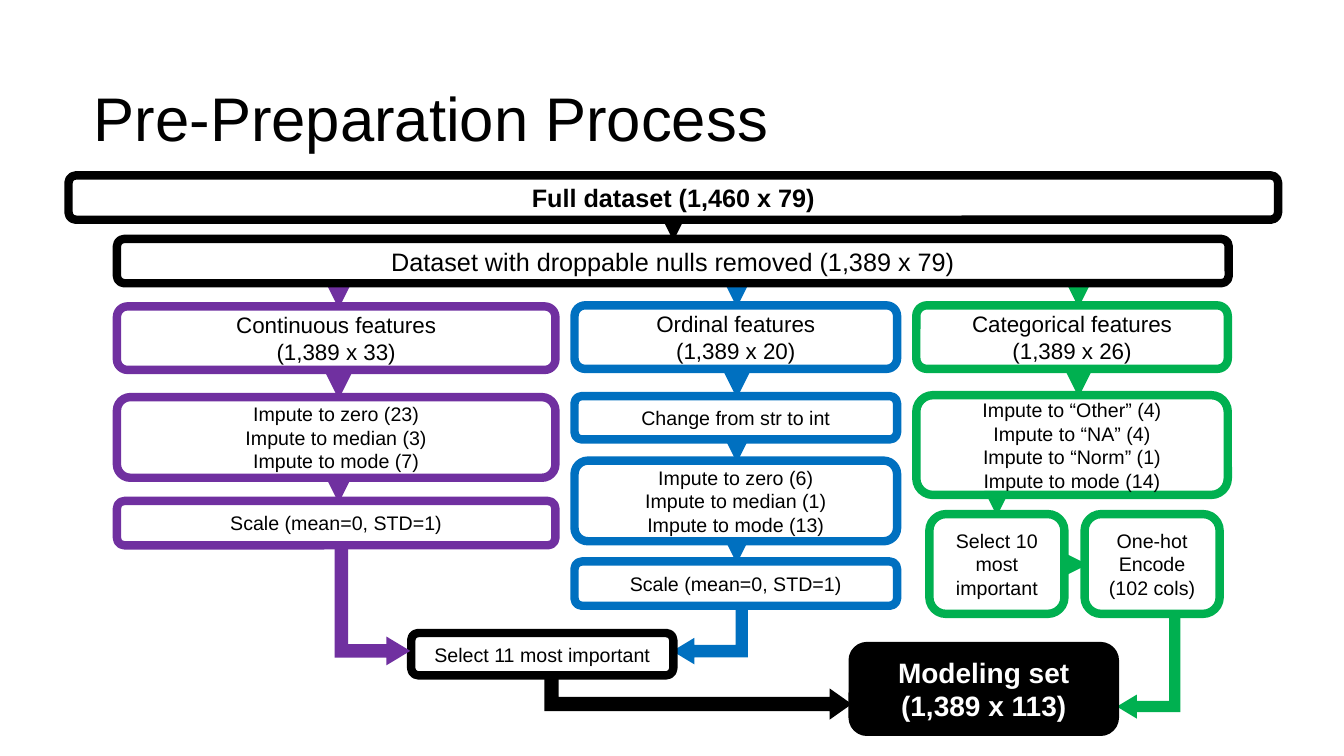
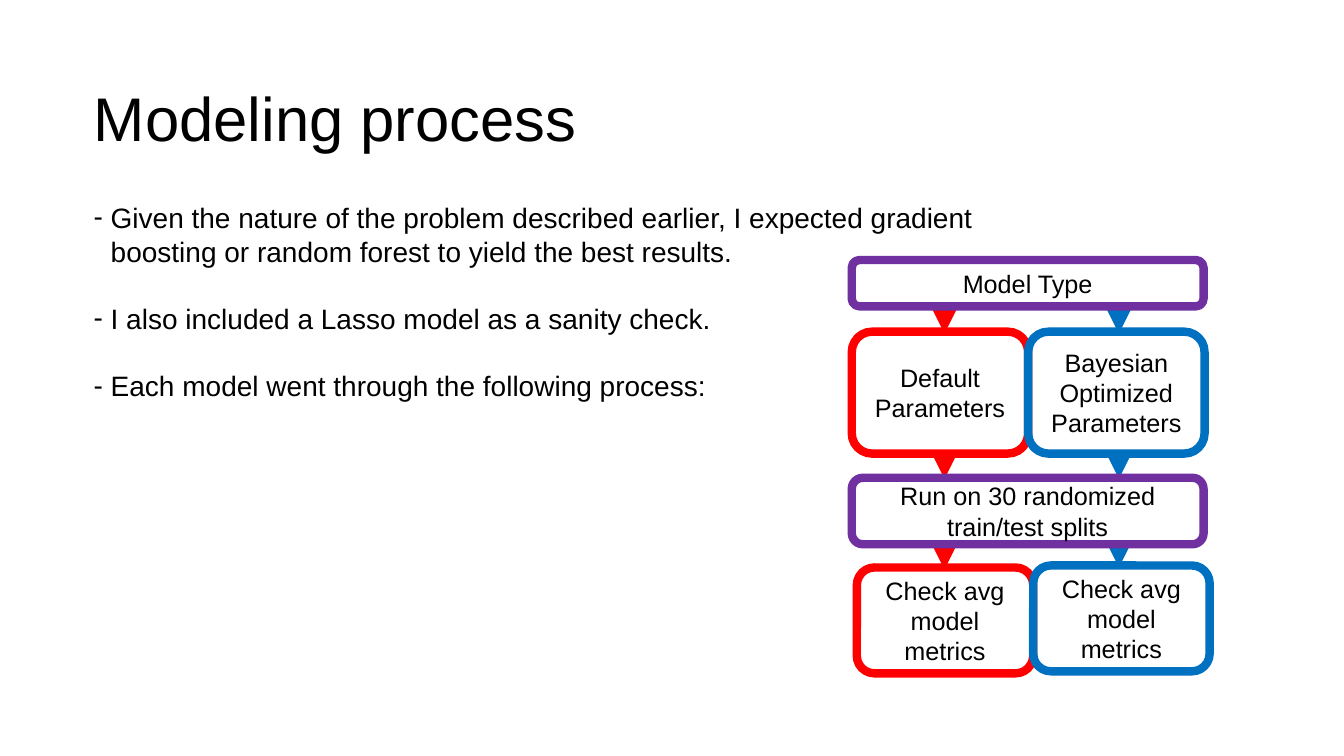
"""Build the two slides on data preparation and modeling."""
from dataclasses import dataclass

from lxml import etree
from pptx import Presentation
from pptx.dml.color import RGBColor
from pptx.enum.shapes import MSO_CONNECTOR, MSO_SHAPE
from pptx.enum.text import MSO_ANCHOR, PP_ALIGN
from pptx.oxml.ns import qn
from pptx.util import Inches, Pt

ROUNDED = MSO_SHAPE.ROUNDED_RECTANGLE
ELBOW = MSO_SHAPE.BENT_UP_ARROW
STRAIGHT = MSO_CONNECTOR.STRAIGHT
MIDDLE = MSO_ANCHOR.MIDDLE
CENTER, LEFT = PP_ALIGN.CENTER, PP_ALIGN.LEFT


@dataclass(frozen=True)
class Theme:
    """Colours, type sizes and the grid cell shared by all slides."""

    font: str = "Arial"
    black: str = "000000"
    white: str = "FFFFFF"
    purple: str = "7030A0"
    blue: str = "0070C0"
    green: str = "00B050"
    red: str = "FF0000"
    title: int = 44
    large: int = 20
    medium: int = 18
    normal: int = 16
    small: int = 14
    border: int = 6
    cell: float = 0.1


THEME = Theme()


def grid(*cells):
    """Turn grid columns or rows into lengths."""
    return [Inches(cell * THEME.cell) for cell in cells]


class FlowDeck:
    """Hold the style and the current slide, and draw each kind of element."""

    def __init__(self):
        self.deck = Presentation()
        self.deck.slide_width, self.deck.slide_height = grid(133.33, 75)
        self.page = None

    def add_page(self, title):
        """Start a slide and place its title."""
        self.page = self.deck.slides.add_slide(self.deck.slide_layouts[5])
        box = self.page.shapes.title
        box.left, box.top, box.width, box.height = grid(8.3, 3.7, 113.5, 15.7)
        box.text_frame.vertical_anchor = MIDDLE
        self.add_lines(box.text_frame, [title], THEME.title, align=LEFT)

    def add_lines(self, frame, lines, size, color=THEME.black, bold=False, align=CENTER):
        """Fill a text frame with one paragraph per line."""
        for number, line in enumerate(lines):
            para = frame.add_paragraph() if number else frame.paragraphs[0]
            para.alignment = align
            span = para.add_run()
            span.text = line
            span.font.name, span.font.size, span.font.bold = THEME.font, Pt(size), bold
            span.font.color.rgb = RGBColor.from_string(color)

    def paint(self, shape, fill, line=None):
        """Set the fill and border of a shape and drop its shadow."""
        shape.shadow.inherit = False
        for part, color in ((shape.fill, fill), (shape.line.fill, line)):
            if color:
                part.solid()
                part.fore_color.rgb = RGBColor.from_string(color)
            else:
                part.background()
        if line:
            shape.line.width = Pt(THEME.border)

    def card(self, area, lines, color, size, fill=None, ink=THEME.black, bold=False):
        """Draw a rounded box with centred text."""
        box = self.page.shapes.add_shape(ROUNDED, *grid(*area))
        self.paint(box, fill, color)
        box.text_frame.vertical_anchor = MIDDLE
        self.add_lines(box.text_frame, lines, size, ink, bold)

    def arrow(self, start, end, color):
        """Draw a thick line with a triangular head."""
        line = self.page.shapes.add_connector(STRAIGHT, *grid(*start, *end))
        line.line.color.rgb = RGBColor.from_string(color)
        line.line.width = Pt(THEME.border)
        properties = line.element.spPr
        etree.SubElement(properties.get_or_add_ln(), qn("a:tailEnd"), type="triangle")
        etree.SubElement(properties, qn("a:effectLst"))

    def drop(self, axis, top, color):
        """Draw a short arrow down onto the upper edge of a box."""
        self.arrow((axis, top - 2.1), (axis, top + 0.2), color)

    def elbow(self, area, color, leftward=False, bend=(0.177, 0.19, 0.316)):
        """Draw an arrow that goes down and then sideways within an area."""
        left, top, width, height = area
        shift = (width - height) / 2
        frame = grid(left + shift, top - shift, height, width)
        shape = self.page.shapes.add_shape(ELBOW, *frame)
        shape.rotation = 90
        if leftward:
            shape.element.spPr.find(qn("a:xfrm")).set("flipV", "1")
        for number, value in enumerate(bend):
            shape.adjustments[number] = value
        self.paint(shape, color)

    def dashes(self, area, lines):
        """Place a list with dashes as bullets."""
        frame = self.page.shapes.add_textbox(*grid(*area)).text_frame
        frame.word_wrap = True
        self.add_lines(frame, lines, THEME.large, align=LEFT)
        hang = Inches(0.17)
        for number, para in enumerate(frame.paragraphs):
            properties = para._p.get_or_add_pPr()
            properties.set("marL", str(hang))
            properties.set("indent", str(-hang))
            etree.SubElement(properties, qn("a:buFont"), typeface=THEME.font)
            etree.SubElement(properties, qn("a:buChar"), char="-")
            if number:
                para.space_before = Pt(24)


def preparation(show):
    """Draw the preparation flow, one column for each kind of feature."""
    show.add_page("Pre-Preparation Process")
    show.elbow((110.8, 60.6, 6.3, 10.7), THEME.green, leftward=True)
    show.elbow((66.7, 59, 7.5, 6.9), THEME.blue, leftward=True)
    scale = ["Scale (mean=0, STD=1)"]
    columns = [
        (11.6, 43.5, 33.6, THEME.purple, [
            (30.4, 6.3, ["Continuous features", "(1,389 x 33)"]),
            (39.4, 8, ["Impute to zero (23)", "Impute to median (3)", "Impute to mode (7)"]),
            (49.7, 4.4, scale),
        ]),
        (57, 32, 73.1, THEME.blue, [
            (30.3, 6.3, ["Ordinal features", "(1,389 x 20)"]),
            (39.3, 4.3, ["Change from str to int"]),
            (45.7, 8, ["Impute to zero (6)", "Impute to median (1)", "Impute to mode (13)"]),
            (55.7, 4.4, scale),
        ]),
        (90.9, 30.9, 107, THEME.green, [
            (30.3, 6.3, ["Categorical features", "(1,389 x 26)"]),
            (39.2, 9.9, ["Impute to “Other” (4)", "Impute to “NA” (4)",
                         "Impute to “Norm” (1)", "Impute to mode (14)"]),
        ]),
    ]
    for left, width, axis, color, steps in columns:
        for number, (top, height, lines) in enumerate(steps):
            size = THEME.small if number else THEME.normal
            show.drop(axis, top, color)
            show.card((left, top, width, height), lines, color, size, THEME.white)

    show.drop(98.9, 51, THEME.green)
    show.arrow((106.1, 56), (107.9, 56), THEME.green)
    encoding = [["Select 10 most important"], ["One-hot", "Encode", "(102 cols)"]]
    for number, lines in enumerate(encoding):
        area = (92.2 + 15.4 * number, 51, 13.4, 9.9)
        show.card(area, lines, THEME.green, THEME.small, THEME.white)

    show.drop(66.8, 23.7, THEME.black)
    show.card((6.8, 17.4, 120, 4.4), ["Full dataset (1,460 x 79)"],
              THEME.black, THEME.medium, THEME.white, bold=True)
    show.card((11.6, 23.7, 110.3, 4.4), ["Dataset with droppable nulls removed (1,389 x 79)"],
              THEME.black, THEME.medium, THEME.white)
    show.card((40.8, 62.8, 26, 4.2), ["Select 11 most important"],
              THEME.black, THEME.small, THEME.white)
    show.elbow((33.2, 54.1, 7.5, 11.9), THEME.purple)
    show.card((84.6, 64.1, 26, 8.5), ["Modeling set", "(1,389 x 113)"],
              THEME.black, THEME.large, THEME.black, THEME.white, bold=True)
    show.elbow((54, 67, 30.5, 4.4), THEME.black, bend=(0.322, 0.352, 0.5))


def modeling(show):
    """Draw the modeling notes and the flow of each model."""
    show.add_page("Modeling process")
    show.dashes((8.3, 19.4, 89.6, 21.2), [
        "Given the nature of the problem described earlier, I expected gradient "
        "boosting or random forest to yield the best results.",
        "I also included a Lasso model as a sanity check.",
        "Each model went through the following process:",
    ])
    metrics = ["Check avg model metrics"]
    branches = [
        (84.5, 93.7, THEME.red, ["Default Parameters"], 56.3),
        (102, 111, THEME.blue, ["Bayesian Optimized Parameters"], 56.1),
    ]
    for left, axis, color, parameters, last in branches:
        for top in (32.9, 47.3, last):
            show.drop(axis, top, color)
        show.card((left, 32.9, 17.5, 12.1), parameters, color, THEME.medium)
        show.card((left + 0.5, last, 17.5, 10.5), metrics, color, THEME.medium)
    shared = [(25.8, 4.6, "Model Type"),
              (47.4, 6.6, "Run on 30 randomized train/test splits")]
    for top, height, line in shared:
        show.card((84.5, top, 34.9, height), [line], THEME.purple, THEME.medium)


def main():
    """Build and save the deck."""
    show = FlowDeck()
    preparation(show)
    modeling(show)
    show.deck.save("out.pptx")


if __name__ == "__main__":
    main()
